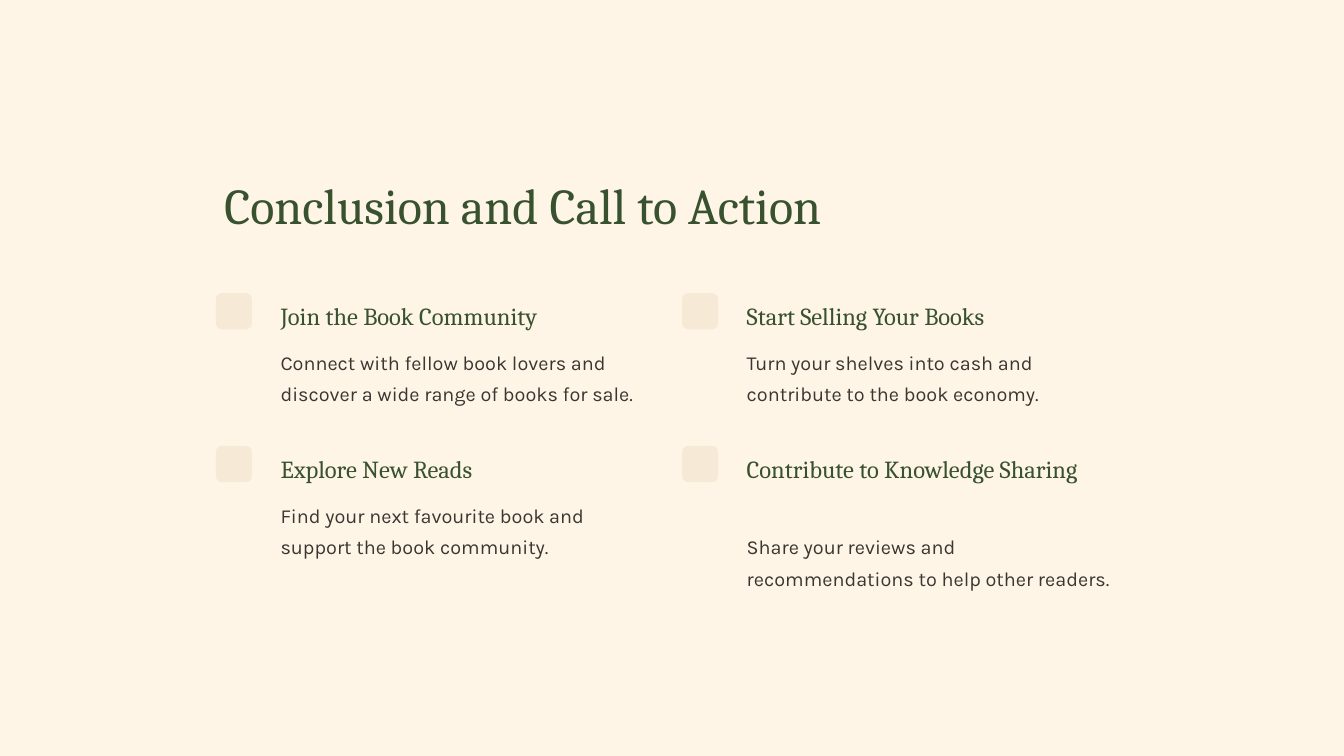
from pptx import Presentation
from pptx.dml.color import RGBColor
from pptx.enum import shapes, text
from pptx.util import Inches, Pt

COLORS = {"cream": "FEF5E7", "tile": "F6E9D5", "green": "38512F", "body": "3A3630"}
HEADING_FONT, BODY_FONT = "Cambria", "Karla"
COLUMN_LEFT, COLUMN_STEP = 2.57, 5.55
ROW_TOP, ROW_STEP = 3.49, 1.82
TEXT_INDENT, TEXT_WIDTH = 0.72, 4.54

# Heading, body text, distance from the top of the tile to the body text
ACTIONS = [
    ("Join the Book Community",
     "Connect with fellow book lovers and discover a wide range of books for sale.", 0.54),
    ("Start Selling Your Books",
     "Turn your shelves into cash and contribute to the book economy.", 0.54),
    ("Explore New Reads",
     "Find your next favourite book and support the book community.", 0.54),
    ("Contribute to Knowledge Sharing",
     "Share your reviews and recommendations to help other readers.", 0.92),
]


def add_block(slide, kind, left, top, width, height, color):
    """Add a plain filled shape without outline or shadow."""
    shape = slide.shapes.add_shape(
        kind, Inches(left), Inches(top), Inches(width), Inches(height))
    shape.shadow.inherit = False
    shape.fill.solid()
    shape.fill.fore_color.rgb = RGBColor.from_string(COLORS[color])
    shape.line.fill.background()
    return shape


def add_text(slide, wording, left, top, width, height, size, font, color, spacing=27):
    box = slide.shapes.add_textbox(
        Inches(left), Inches(top), Inches(width), Inches(height))
    frame = box.text_frame
    frame.word_wrap = True
    frame.auto_size = text.MSO_AUTO_SIZE.SHAPE_TO_FIT_TEXT
    frame.margin_left = frame.margin_right = Inches(0.05)
    frame.margin_top = frame.margin_bottom = Inches(0.05)
    paragraph = frame.paragraphs[0]
    paragraph.text = wording
    paragraph.line_spacing = Pt(spacing)
    paragraph.font.size = Pt(size)
    paragraph.font.name = font
    paragraph.font.color.rgb = RGBColor.from_string(COLORS[color])


def add_action(slide, left, top, heading, body, body_offset):
    """Add a tile with a heading and a body text to its right."""
    tile = add_block(slide, shapes.MSO_SHAPE.ROUNDED_RECTANGLE,
                     left, top, 0.43, 0.43, "tile")
    tile.adjustments[0] = 0.17
    text_left = left + TEXT_INDENT
    add_text(slide, heading, text_left, top + 0.02, TEXT_WIDTH, 0.47,
             21, HEADING_FONT, "green")
    add_text(slide, body, text_left, top + body_offset, TEXT_WIDTH, 0.83,
             17, BODY_FONT, "body")


def main():
    presentation = Presentation()
    presentation.slide_width = Inches(16)
    presentation.slide_height = Inches(9)
    slide = presentation.slides.add_slide(presentation.slide_layouts[6])

    add_block(slide, shapes.MSO_SHAPE.RECTANGLE, 0, 0, 16, 9, "cream")
    add_text(slide, "Conclusion and Call to Action", 2.62, 1.99, 7.88, 0.84,
             43, HEADING_FONT, "green", spacing=54)
    for index, action in enumerate(ACTIONS):
        row, column = divmod(index, 2)
        add_action(slide, COLUMN_LEFT + column * COLUMN_STEP,
                   ROW_TOP + row * ROW_STEP, *action)

    presentation.save("out.pptx")


if __name__ == "__main__":
    main()
